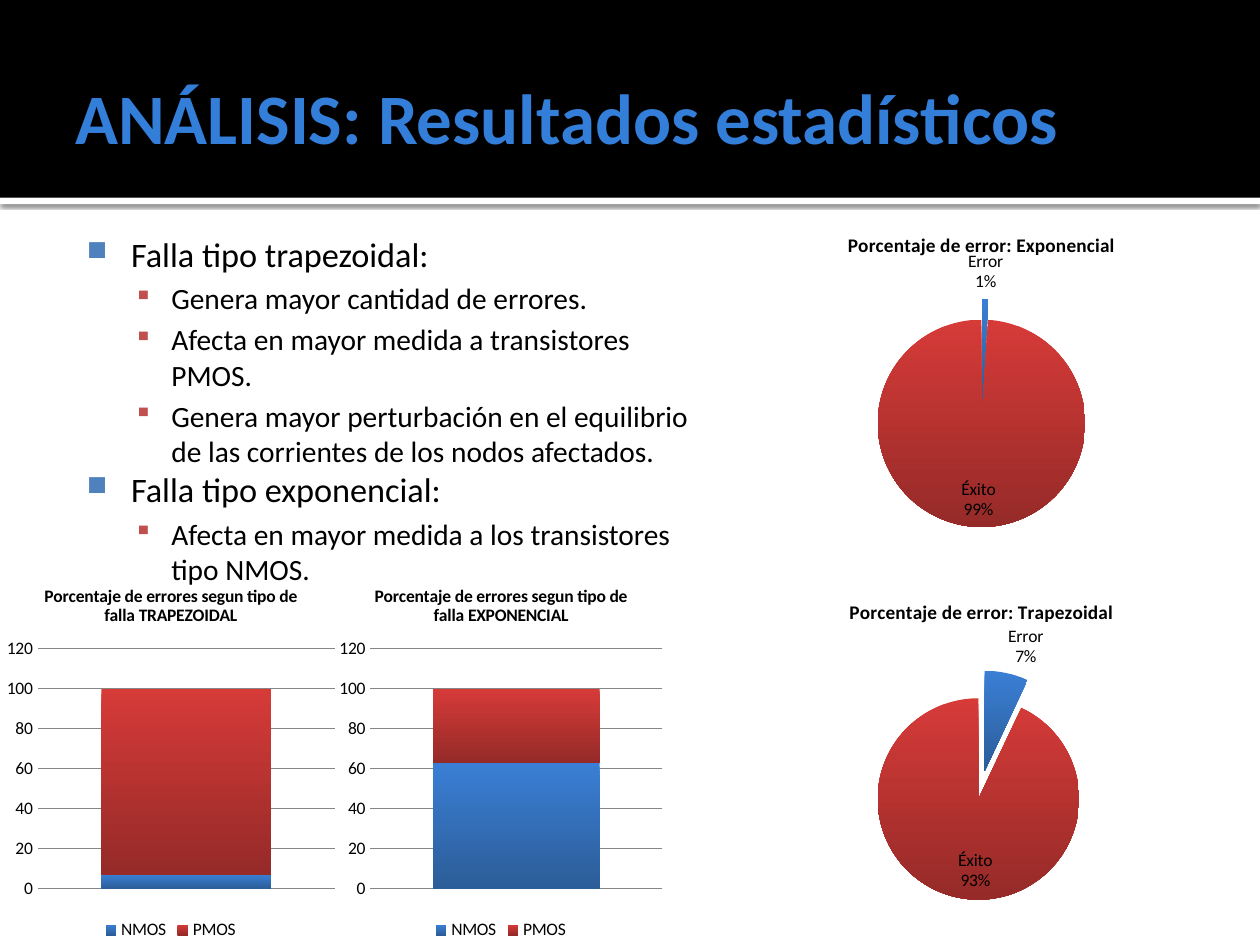
from lxml import etree
from pptx import Presentation
from pptx.chart.data import CategoryChartData
from pptx.dml.color import RGBColor
from pptx.enum.chart import (XL_CHART_TYPE, XL_LABEL_POSITION, XL_LEGEND_POSITION,
                             XL_TICK_LABEL_POSITION, XL_TICK_MARK)
from pptx.enum.shapes import MSO_SHAPE
from pptx.enum.text import MSO_ANCHOR
from pptx.oxml import parse_xml
from pptx.oxml.ns import nsdecls, qn
from pptx.util import Inches, Pt

RECTANGLE = MSO_SHAPE.RECTANGLE
MIDDLE, TOP = MSO_ANCHOR.MIDDLE, MSO_ANCHOR.TOP
PIE, STACKED = XL_CHART_TYPE.PIE, XL_CHART_TYPE.COLUMN_STACKED
OUTSIDE, INSIDE = XL_LABEL_POSITION.OUTSIDE_END, XL_LABEL_POSITION.INSIDE_END
LEGEND_BOTTOM = XL_LEGEND_POSITION.BOTTOM
NO_LABELS, NO_TICKS = XL_TICK_LABEL_POSITION.NONE, XL_TICK_MARK.NONE

BLUE_GRADIENT = ("3A7FD5", "2C5D98")
RED_GRADIENT = ("D63B38", "952A28")

# Shares of the chart height: room above for the title and the "Error" label
PIE_TOP, PIE_HEIGHT = 0.3, 0.59

# Per outline level: size, indent, hanging, space before, bullet, bullet colour, bullet %
LEVELS = [
    (19.6, 0.48, 0.35, 0, "■", "4F81BD", 80),
    (16.8, 0.8, 0.3, 3.4, "▪", "C0504D", 90),
]
FINDINGS = [
    (0, "Falla tipo trapezoidal:"),
    (1, "Genera mayor cantidad de errores."),
    (1, "Afecta en mayor medida a transistores PMOS."),
    (1, "Genera mayor perturbación en el equilibrio de las corrientes de los nodos afectados."),
    (0, "Falla tipo exponencial:"),
    (1, "Afecta en mayor medida a los transistores tipo NMOS."),
]


def rgb(value):
    return RGBColor.from_string(value)


def paint_gradient(fill, colors):
    """Fill from the first colour at the top to the second at the bottom."""
    fill.gradient()
    fill.gradient_angle = 270
    for stop, color in zip(fill.gradient_stops, colors):
        stop.color.rgb = rgb(color)


class SlideBuilder:
    """Holds the style and the slide being filled."""

    font = "Calibri"
    text_color = "000000"

    def __init__(self, slide):
        self.slide = slide

    def style(self, font, size, color=None, bold=None):
        font.name, font.size, font.bold = self.font, Pt(size), bold
        font.color.rgb = rgb(color or self.text_color)

    def band(self, top, height, color, shadow=False):
        band = self.slide.shapes.add_shape(
            RECTANGLE, 0, Inches(top), Inches(10), Inches(height))
        band.fill.solid()
        band.fill.fore_color.rgb = rgb(color)
        band.line.fill.background()
        band.shadow.inherit = False
        if shadow:
            band.element.spPr.find(qn("a:effectLst")).append(parse_xml(
                f'<a:outerShdw {nsdecls("a")} blurRad="{Pt(2.5)}" dist="{Pt(0.8)}" dir="5400000">'
                '<a:srgbClr val="000000"><a:alpha val="60000"/></a:srgbClr></a:outerShdw>'))

    def text_frame(self, box, insets, anchor):
        frame = self.slide.shapes.add_textbox(*map(Inches, box)).text_frame
        frame.word_wrap = True
        frame.vertical_anchor = anchor
        (frame.margin_left, frame.margin_top,
         frame.margin_right, frame.margin_bottom) = map(Inches, insets)
        return frame

    def title(self, text, box):
        frame = self.text_frame(box, (0.1, 0.05, 0.05, 0.05), MIDDLE)
        frame.text = text
        self.style(frame.paragraphs[0].runs[0].font, 40.5, "337ED9", True)

    def outline(self, items, box):
        frame = self.text_frame(box, (0.06, 0.1, 0.1, 0.05), TOP)
        frame.text = "\n".join(text for _, text in items)
        for paragraph, (level, _) in zip(frame.paragraphs, items):
            size, indent, hanging, before, bullet, color, percent = LEVELS[level]
            paragraph.level = level
            paragraph.space_before = Pt(before)
            self.style(paragraph.runs[0].font, size)
            properties = paragraph._p.get_or_add_pPr()
            properties.set("marL", str(Inches(indent)))
            properties.set("indent", str(-Inches(hanging)))
            bullet_color = etree.SubElement(properties, qn("a:buClr"))
            etree.SubElement(bullet_color, qn("a:srgbClr"), val=color)
            etree.SubElement(properties, qn("a:buSzPct"), val=str(percent * 1000))
            etree.SubElement(properties, qn("a:buChar"), char=bullet)

    def chart(self, kind, title, title_size, categories, series, box):
        data = CategoryChartData(number_format="0")
        data.categories = categories
        for name, values in series:
            data.add_series(name, values)
        chart = self.slide.shapes.add_chart(kind, *map(Inches, box), data).chart
        self.style(chart.font, 10)
        chart.has_title = True
        chart.chart_title.include_in_layout = False
        heading = chart.chart_title.text_frame
        heading.text = title
        self.style(heading.paragraphs[0].runs[0].font, title_size, bold=True)
        return chart

    def pie(self, title, error, box, explosion, exploded):
        chart = self.chart(PIE, title, 11, ["Error", "Éxito"],
                           [("Series 1", (error, 100 - error))], box)
        chart.has_legend = False
        plot = chart.plots[0]
        plot.vary_by_categories = False
        series = plot.series[0]
        looks = [(BLUE_GRADIENT, OUTSIDE), (RED_GRADIENT, INSIDE)]
        for index, (colors, position) in enumerate(looks):
            point = series.points[index]
            paint_gradient(point.format.fill, colors)
            point.data_label.position = position
        for index in exploded:
            properties = series._element.findall(qn("c:dPt"))[index].find(qn("c:spPr"))
            properties.addprevious(parse_xml(
                f'<c:explosion {nsdecls("c")} val="{explosion}"/>'))
        for label in series._element.iter(qn("c:dLbl")):
            for tag, shown in (("showVal", 0), ("showCatName", 1), ("showPercent", 1)):
                label.find(qn(f"c:{tag}")).set("val", str(shown))
            label.find(qn("c:showBubbleSize")).addnext(parse_xml(
                f'<c:separator {nsdecls("c")}>\n</c:separator>'))
        self.place_pie(chart)

    def place_pie(self, chart):
        area = chart._chartSpace.chart.plotArea
        for layout in area.findall(qn("c:layout")):
            area.remove(layout)
        sizes = "".join(f'<c:{tag} val="{value}"/>' for tag, value in (
            ("layoutTarget", "inner"), ("xMode", "edge"), ("yMode", "edge"),
            ("x", 0), ("y", PIE_TOP), ("w", 1), ("h", PIE_HEIGHT)))
        area.insert(0, parse_xml(
            f'<c:layout {nsdecls("c")}><c:manualLayout>{sizes}</c:manualLayout></c:layout>'))

    def stacked_column(self, title, nmos, box):
        chart = self.chart(STACKED, title, 10, ["1"],
                           [("NMOS", (nmos,)), ("PMOS", (100 - nmos,))], box)
        plot = chart.plots[0]
        plot.gap_width, plot.overlap = 75, 100
        for series, colors in zip(plot.series, (BLUE_GRADIENT, RED_GRADIENT)):
            paint_gradient(series.format.fill, colors)
        chart.has_legend = True
        chart.legend.position = LEGEND_BOTTOM
        chart.legend.include_in_layout = False
        category, value = chart.category_axis, chart.value_axis
        category.tick_label_position = NO_LABELS
        category.major_tick_mark = value.major_tick_mark = NO_TICKS
        value.minimum_scale, value.maximum_scale, value.major_unit = 0, 120, 20
        value.format.line.fill.background()
        value.has_major_gridlines = True
        for line in (category.format.line, value.major_gridlines.format.line):
            line.color.rgb = rgb("868686")
            line.width = Pt(0.75)


def main():
    deck = Presentation()
    deck.slide_width, deck.slide_height = Inches(10), Inches(7.5)
    page = SlideBuilder(deck.slides.add_slide(deck.slide_layouts[6]))

    page.band(1.57, 0.05, "FFFFFF", shadow=True)
    page.band(0, 1.57, "000000")
    page.title("ANÁLISIS: Resultados estadísticos", (0.5, 0.3, 9, 1.25))
    page.outline(FINDINGS, (0.5, 1.75, 5.21, 2.71))

    page.pie("Porcentaje de error: Exponencial", 1, (5.58, 1.7, 4.42, 2.79), 20, [0])
    page.pie("Porcentaje de error: Trapezoidal", 7, (5.58, 4.62, 4.42, 2.71), 14, [0, 1])
    page.stacked_column("Porcentaje de errores segun tipo de falla TRAPEZOIDAL", 7,
                        (0, 4.5, 2.71, 3))
    page.stacked_column("Porcentaje de errores segun tipo de falla EXPONENCIAL", 63,
                        (2.64, 4.5, 2.67, 3))
    deck.save("out.pptx")


if __name__ == "__main__":
    main()
